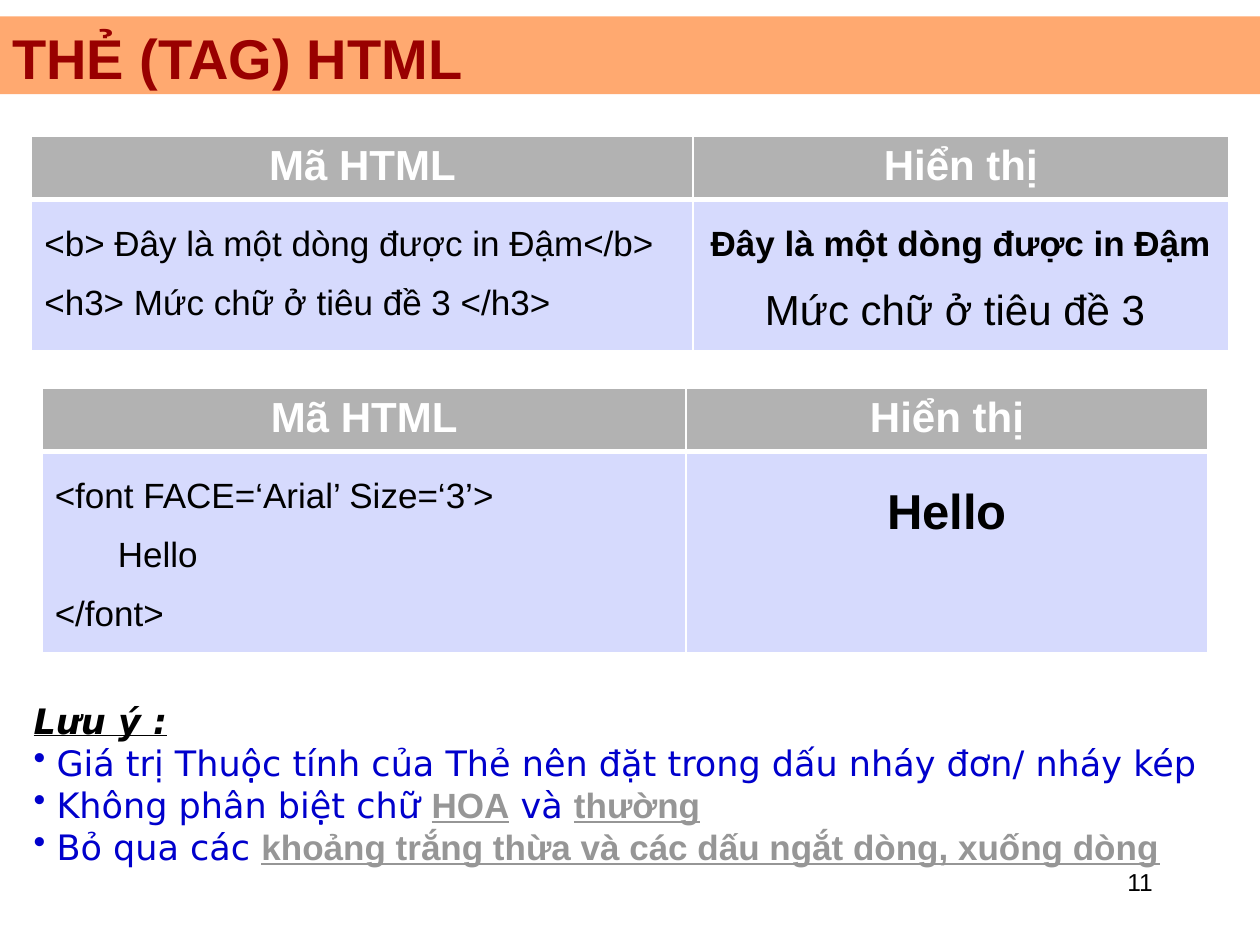
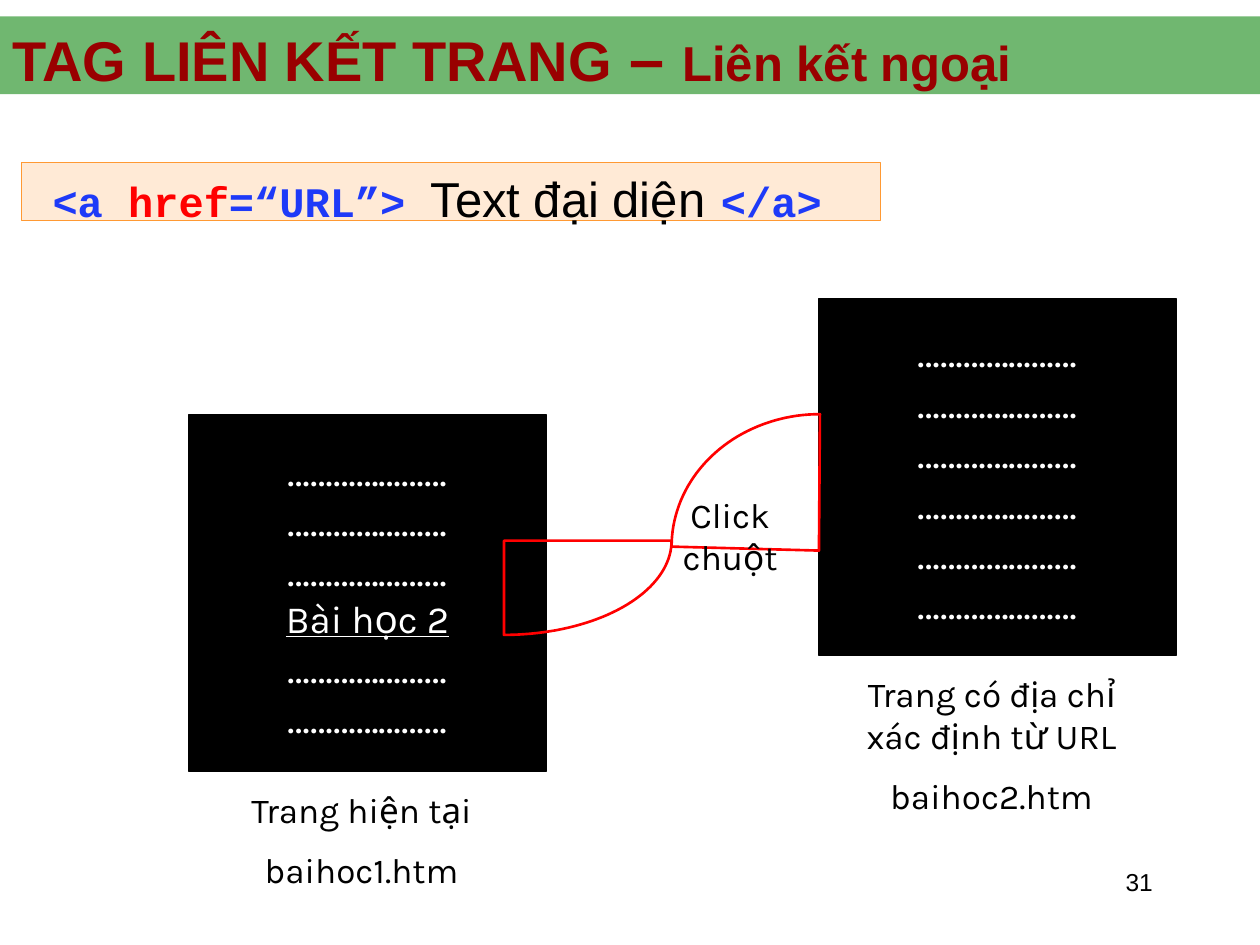
import math

import pptx
import pptx.dml.color
import pptx.enum.shapes
import pptx.enum.text
import pptx.oxml
import pptx.oxml.ns
import pptx.util
from pptx.util import Cm

COLOURS = {
    "title": "990000",
    "text": "000000",
    "white": "FFFFFF",
    "orange band": "FF6600",
    "green band": "008000",
    "table header": "B2B2B2",
    "table body": "D6DAFD",
    "note": "0000CC",
    "keyword": "969696",
    "code": "1E3AF8",
    "attribute": "FF0000",
    "syntax fill": "FFCC99",
    "syntax line": "FF9933",
    "page": "000000",
    "click": "FF0000",
}
ALIGN = pptx.enum.text.PP_ALIGN
TOP = pptx.enum.text.MSO_ANCHOR.TOP
MIDDLE = pptx.enum.text.MSO_ANCHOR.MIDDLE
RECTANGLE = pptx.enum.shapes.MSO_SHAPE.RECTANGLE
PAGE_SIDE = 7.2
DOTS = "…………………"


def rgb(colour):
    return pptx.dml.color.RGBColor.from_string(COLOURS[colour])


def add_element(parent, tag, **attributes):
    element = pptx.oxml.ns.qn(tag)
    child = parent.makeelement(element, {key: str(value) for key, value in attributes.items()})
    parent.append(child)
    return child


# ---- Text ----
def add_run(paragraph, text, size=20, font="Arial", colour="text",
            bold=False, italic=False, underline=False):
    run = paragraph.add_run()
    run.text = text
    run.font.size = pptx.util.Pt(size)
    run.font.name = font
    run.font.bold = bold
    run.font.italic = italic
    run.font.underline = underline
    run.font.color.rgb = rgb(colour)


def add_paragraphs(frame, paragraphs, align=ALIGN.LEFT, line_spacing=None, gap=None):
    """Each paragraph is a list of (text, style) runs."""
    for index, runs in enumerate(paragraphs):
        paragraph = frame.add_paragraph() if index else frame.paragraphs[0]
        paragraph.alignment = align
        if line_spacing:
            paragraph.line_spacing = line_spacing
        if gap and index:
            paragraph.space_before = pptx.util.Pt(gap)
        for text, style in runs:
            add_run(paragraph, text, **style)


def indent_paragraph(paragraph, left, first):
    properties = paragraph._p.get_or_add_pPr()
    properties.set("marL", str(Cm(left)))
    properties.set("indent", str(Cm(first)))
    return properties


def add_bullet(paragraph, colour):
    properties = indent_paragraph(paragraph, 0.46, -0.46)
    bullet_colour = add_element(properties, "a:buClr")
    add_element(bullet_colour, "a:srgbClr", val=COLOURS[colour])
    add_element(properties, "a:buChar", char="•")


def add_text(slide, left, top, width, height, paragraphs, anchor=TOP, **layout):
    box = slide.shapes.add_textbox(Cm(left), Cm(top), Cm(width), Cm(height))
    box.text_frame.word_wrap = True
    box.text_frame.vertical_anchor = anchor
    add_paragraphs(box.text_frame, paragraphs, **layout)
    return box


# ---- Shapes ----
def add_rectangle(slide, left, top, width, height, fill, opacity=100, line=None):
    shape = slide.shapes.add_shape(RECTANGLE, Cm(left), Cm(top), Cm(width), Cm(height))
    shape.shadow.inherit = False
    shape.fill.solid()
    shape.fill.fore_color.rgb = rgb(fill)
    if opacity < 100:
        colour = shape._element.spPr.find(".//" + pptx.oxml.ns.qn("a:srgbClr"))
        add_element(colour, "a:alpha", val=opacity * 1000)
    if line:
        shape.line.color.rgb = rgb(line)
        shape.line.width = pptx.util.Pt(0.75)
    else:
        shape.line.fill.background()
    return shape


def add_quarter_pie(slide, centre, radii, start_angle, corner, steps=40):
    """Outline a quarter ellipse that runs back 90 degrees and closes at the corner."""
    points = []
    for step in range(steps + 1):
        angle = math.radians(start_angle - 90 * step / steps)
        points.append((Cm(centre[0] + radii[0] * math.cos(angle)),
                       Cm(centre[1] + radii[1] * math.sin(angle))))
    points.append((Cm(corner[0]), Cm(corner[1])))
    builder = slide.shapes.build_freeform(*points[0])
    builder.add_line_segments(points[1:], close=True)
    shape = builder.convert_to_shape()
    shape.shadow.inherit = False
    shape.fill.background()
    shape.line.color.rgb = rgb("click")
    shape.line.width = pptx.util.Pt(1.5)


# ---- Table ----
def style_cell(cell, fill, top_border, bottom_border):
    properties = cell._tc.get_or_add_tcPr()
    widths = {"a:lnL": 1, "a:lnR": 1, "a:lnT": top_border, "a:lnB": bottom_border}
    for side, width in widths.items():
        border = add_element(properties, side, w=pptx.util.Pt(width))
        border_fill = add_element(border, "a:solidFill")
        add_element(border_fill, "a:srgbClr", val=COLOURS["white"])
    cell.fill.solid()
    cell.fill.fore_color.rgb = rgb(fill)


def add_code_table(slide, left, top, column_widths, body_height, code, display):
    """Show HTML lines on the left and their result on the right."""
    header_height = 1.27
    frame = slide.shapes.add_table(2, 2, Cm(left), Cm(top), Cm(sum(column_widths)),
                                   Cm(header_height + body_height))
    table = frame.table
    for column, width in zip(table.columns, column_widths):
        column.width = Cm(width)
    for row, height in zip(table.rows, (header_height, body_height)):
        row.height = Cm(height)
    header_style = {"size": 24, "colour": "white", "bold": True}
    for column, heading in enumerate(("Mã HTML", "Hiển thị")):
        cell = table.cell(0, column)
        style_cell(cell, "table header", 1, 3)
        add_paragraphs(cell.text_frame, [[(heading, header_style)]], ALIGN.CENTER)
    bodies = (([[(line, {})] for line in code], ALIGN.LEFT), (display, ALIGN.CENTER))
    for column, (paragraphs, align) in enumerate(bodies):
        cell = table.cell(1, column)
        style_cell(cell, "table body", 3, 1)
        add_paragraphs(cell.text_frame, paragraphs, align, line_spacing=1.5)


# ---- Shared slide frame ----
def add_content_slide(presentation, band, title_runs, number):
    slide = presentation.slides.add_slide(presentation.slide_layouts[6])
    add_text(slide, 18.2, 17.35, 5.29, 1.27, [[(number, {"size": 14})]], align=ALIGN.RIGHT)
    add_rectangle(slide, 0, 0.33, 25.4, 1.57, band, opacity=56)
    runs = [(text, {"size": size, "colour": "title", "bold": True}) for text, size in title_runs]
    add_text(slide, 0, 0.61, 25.4, 1.07, [runs], anchor=MIDDLE)
    return slide


# ---- Web page with a caption underneath ----
def add_web_page(slide, left, top, lines, caption, address, caption_height):
    dots_style = {"size": 24, "font": "Karla", "colour": "white"}
    link_style = dots_style | {"size": 22, "underline": True}
    page = add_rectangle(slide, left, top, PAGE_SIDE, PAGE_SIDE, "page", line="page")
    page.text_frame.vertical_anchor = MIDDLE
    paragraphs = [[(line, dots_style if line == DOTS else link_style)] for line in lines]
    add_paragraphs(page.text_frame, paragraphs, ALIGN.CENTER)
    caption_style = {"font": "Karla"}
    add_text(slide, left + 0.2, top + PAGE_SIDE + 0.22, 6.56, caption_height,
             [[(caption, caption_style)], [(address, caption_style)]],
             align=ALIGN.CENTER, gap=10)


def build_tag_slide(presentation):
    slide = add_content_slide(presentation, "orange band", [("THẺ (TAG) HTML", 32)], "11")
    add_code_table(
        slide, 0.64, 2.75, (13.33, 10.8), 3.05,
        ["<b> Đây là một dòng được in Đậm</b>", "<h3> Mức chữ ở tiêu đề 3 </h3>"],
        [[("Đây là một dòng được in Đậm", {"bold": True})],
         [("Mức chữ ở tiêu đề 3 ", {"size": 24})]])
    add_code_table(
        slide, 0.85, 7.83, (12.98, 10.52), 4.06,
        ["<font FACE=‘Arial’ Size=‘3’>", "\tHello", "</font>"],
        [[("Hello", {"size": 28, "bold": True})]])

    # Notes
    heading = {"font": "DejaVu Sans", "bold": True, "italic": True, "underline": True}
    note = {"font": "DejaVu Sans", "colour": "note"}
    keyword = {"colour": "keyword", "bold": True, "underline": True}
    notes = add_text(slide, 0.43, 13.97, 24.97, 4.5, [
        [("Lưu ý :", heading)],
        [("Giá trị Thuộc tính của Thẻ nên đặt trong dấu nháy đơn/ nháy kép", note)],
        [("Không phân biệt chữ ", note), ("HOA", keyword), (" và ", note), ("thường", keyword)],
        [("Bỏ qua các ", note),
         ("khoảng trắng thừa và các dấu ngắt dòng, xuống dòng", keyword)],
    ], align=ALIGN.JUSTIFY)
    for paragraph in notes.text_frame.paragraphs[1:]:
        add_bullet(paragraph, "note")


def build_link_slide(presentation):
    slide = add_content_slide(
        presentation, "green band",
        [("TAG LIÊN KẾT TRANG", 32), (" – ", 36), ("Liên kết ngoại", 28)], "31")

    # Current page and the page it links to
    add_web_page(slide, 3.81, 8.36, [DOTS] * 3 + ["Bài học 2"] + [DOTS] * 2,
                 "Trang hiện tại", "baihoc1.htm", 2.36)
    add_web_page(slide, 16.51, 6.02, [DOTS] * 6,
                 "Trang có địa chỉ xác định từ URL", "baihoc2.htm", 3.23)

    # Path of the click
    add_quarter_pie(slide, (16.53, 11.02), (2.99, 2.67), 270, (16.51, 11.1))
    add_quarter_pie(slide, (10.16, 10.9), (3.38, 1.9), 90, (10.16, 10.9))
    add_text(slide, 13.13, 9.83, 3.18, 1.96, [[("Click chuột", {"font": "Karla"})]],
             align=ALIGN.CENTER)

    # Syntax of the link tag
    code = {"size": 24, "font": "Courier New", "colour": "code", "bold": True}
    syntax = add_rectangle(slide, 0.43, 3.28, 17.32, 1.17, "syntax fill", 40, "syntax line")
    frame = syntax.text_frame
    frame.margin_left = 0
    frame.vertical_anchor = TOP
    add_paragraphs(frame, [[
        ("<a ", code), ("href", code | {"colour": "attribute"}), ("=“URL”> ", code),
        ("Text đại diện", {"size": 28}), (" ", {"size": 32}), ("</a>", code),
    ]], line_spacing=0.9)
    indent_paragraph(frame.paragraphs[0], 1.27, -0.64)


def main():
    presentation = pptx.Presentation()
    presentation.slide_width = Cm(25.4)
    presentation.slide_height = Cm(19.05)
    build_tag_slide(presentation)
    build_link_slide(presentation)
    presentation.save("out.pptx")


if __name__ == "__main__":
    main()
